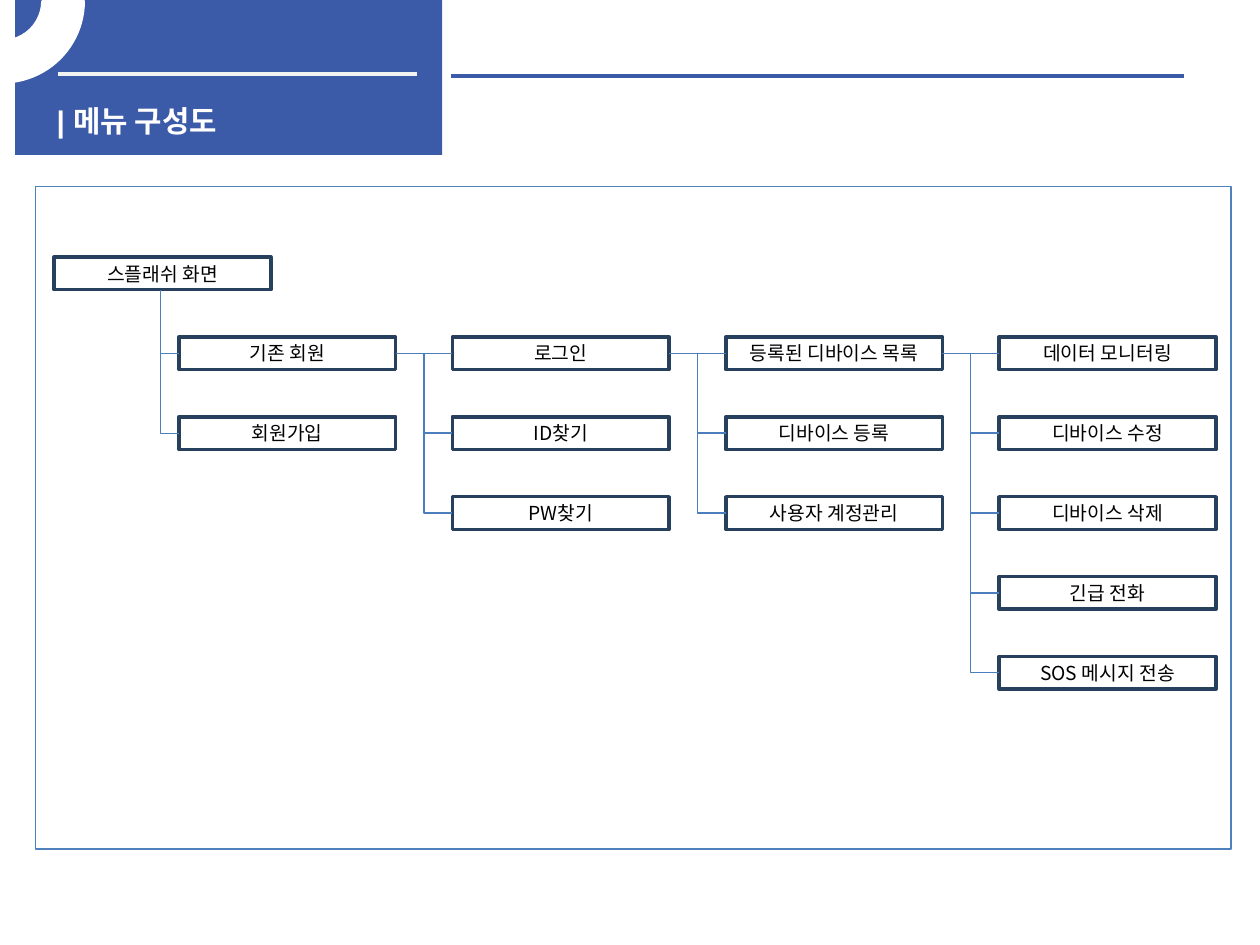
from lxml.etree import SubElement
from pptx import Presentation
from pptx.dml.color import RGBColor
from pptx.enum.shapes import MSO_CONNECTOR as Connector, MSO_SHAPE as Shape
from pptx.enum.text import MSO_ANCHOR as Anchor, MSO_AUTO_SIZE as AutoSize, PP_ALIGN as Align
from pptx.oxml.ns import qn
from pptx.util import Inches, Pt

WIDTH, HEIGHT = 10, 7.5
BLUE, WHITE, NAVY, FRAME, LINK = "3B5AA8", "FFFFFF", "27405E", "4F81BD", "4B7EBC"
KOREAN = "Noto Sans CJK KR"
ROOT = "스플래쉬 화면"
MENU = [
    ["기존 회원", "회원가입"],
    ["로그인", "ID찾기", "PW찾기"],
    ["등록된 디바이스 목록", "디바이스 등록", "사용자 계정관리"],
    ["데이터 모니터링", "디바이스 수정", "디바이스 삭제", "긴급 전화", "SOS 메시지 전송"],
]


def color(value):
    return RGBColor.from_string(value)


def add_box(slide, kind, box, fill=None, line=None, weight=0.75):
    shape = slide.shapes.add_shape(kind, *map(Inches, box))
    shape.shadow.inherit = False
    if fill:
        shape.fill.solid()
        shape.fill.fore_color.rgb = color(fill)
    else:
        shape.fill.background()
    if line:
        shape.line.color.rgb = color(line)
        shape.line.width = Pt(weight)
    else:
        shape.line.fill.background()
    return shape


def add_line(slide, kind, start, end, line, weight):
    connector = slide.shapes.add_connector(kind, *map(Inches, (*start, *end)))
    connector.line.color.rgb = color(line)
    connector.line.width = Pt(weight)
    SubElement(connector._element.spPr, qn("a:effectLst"))
    return connector


def write(shape, text, size, font_name, font_color, align, anchor, bold=False):
    frame = shape.text_frame
    frame.word_wrap = True
    frame.auto_size = AutoSize.NONE
    frame.vertical_anchor = anchor
    paragraph = frame.paragraphs[0]
    paragraph.alignment = align
    run = paragraph.add_run()
    run.text = text
    run.font.size = Pt(size)
    run.font.bold = bold
    run.font.color.rgb = color(font_color)
    run.font.name = font_name
    SubElement(run.font._element, qn("a:ea"), typeface=KOREAN)


def add_header(slide, box):
    left, top, width, height = box
    add_box(slide, Shape.RECTANGLE, box, BLUE)
    rule = top + height * 0.48
    add_line(slide, Connector.STRAIGHT, (left + width * 0.1, rule),
             (left + width * 0.94, rule), "F2F2F2", 2.25)
    add_line(slide, Connector.STRAIGHT, (left + width + 0.07, rule + 0.01),
             (WIDTH * 0.94, rule + 0.01), BLUE, 2.25)

    title = slide.shapes.title
    title.left, title.top = Inches(left + 0.23), Inches(top + height * 0.62)
    title.width, title.height = Inches(width * 0.95), Inches(0.3)
    write(title, "| 메뉴 구성도", 17, "Arial", WHITE, Align.LEFT, Anchor.TOP, True)
    slide.shapes._spTree.append(title._element)

    arc = add_box(slide, Shape.BLOCK_ARC, (left - 0.75, top - 0.63, 1.29, 1.28), WHITE, WHITE, 2)
    arc.adjustments[0] = 161.587 * 0.6
    arc.adjustments[1] = 0
    arc.adjustments[2] = 0.25
    arc._element.spPr.xfrm.set("flipV", "1")


def add_menu_tree(slide, box):
    left, top, width, height = box
    node_width, node_height, indent = 1.72, 0.26, 0.99
    column_step = (width - indent - node_width) / (len(MENU) - 1)
    row_step = (height - node_height) / max(map(len, MENU))

    def node_left(column):
        return left + indent + column * column_step

    def row_middle(row):
        return top + (row + 1) * row_step + node_height / 2

    def add_node(text, node_x, middle):
        node = add_box(slide, Shape.RECTANGLE,
                       (node_x, middle - node_height / 2, node_width, node_height), None, NAVY, 2)
        frame = node.text_frame
        frame.margin_top = frame.margin_bottom = 0
        write(node, text, 11, KOREAN, "000000", Align.CENTER, Anchor.MIDDLE)

    add_node(ROOT, left, row_middle(-1))
    for column, names in enumerate(MENU):
        for row, name in enumerate(names):
            add_node(name, node_left(column), row_middle(row))

    for column, names in enumerate(MENU):
        for row in range(len(names)):
            child = (node_left(column), row_middle(row))
            if column:
                parent = (node_left(column - 1) + node_width, row_middle(0))
                add_line(slide, Connector.ELBOW, parent, child, LINK, 0.75)
            else:
                parent = (left + node_width * 0.49, top + node_height)
                link = add_line(slide, Connector.ELBOW, child, parent, LINK, 0.75)
                link._element.spPr.find(qn("a:prstGeom")).set("prst", "bentConnector2")


def main():
    presentation = Presentation()
    presentation.slide_width, presentation.slide_height = Inches(WIDTH), Inches(HEIGHT)
    slide = presentation.slides.add_slide(presentation.slide_layouts[5])
    add_header(slide, (0.12, 0, 3.39, 1.23))
    add_box(slide, Shape.RECTANGLE, (0.28, 1.48, 9.49, 5.26), None, FRAME)
    add_menu_tree(slide, (0.43, 2.04, 9.22, 3.43))
    presentation.save("out.pptx")


if __name__ == "__main__":
    main()
